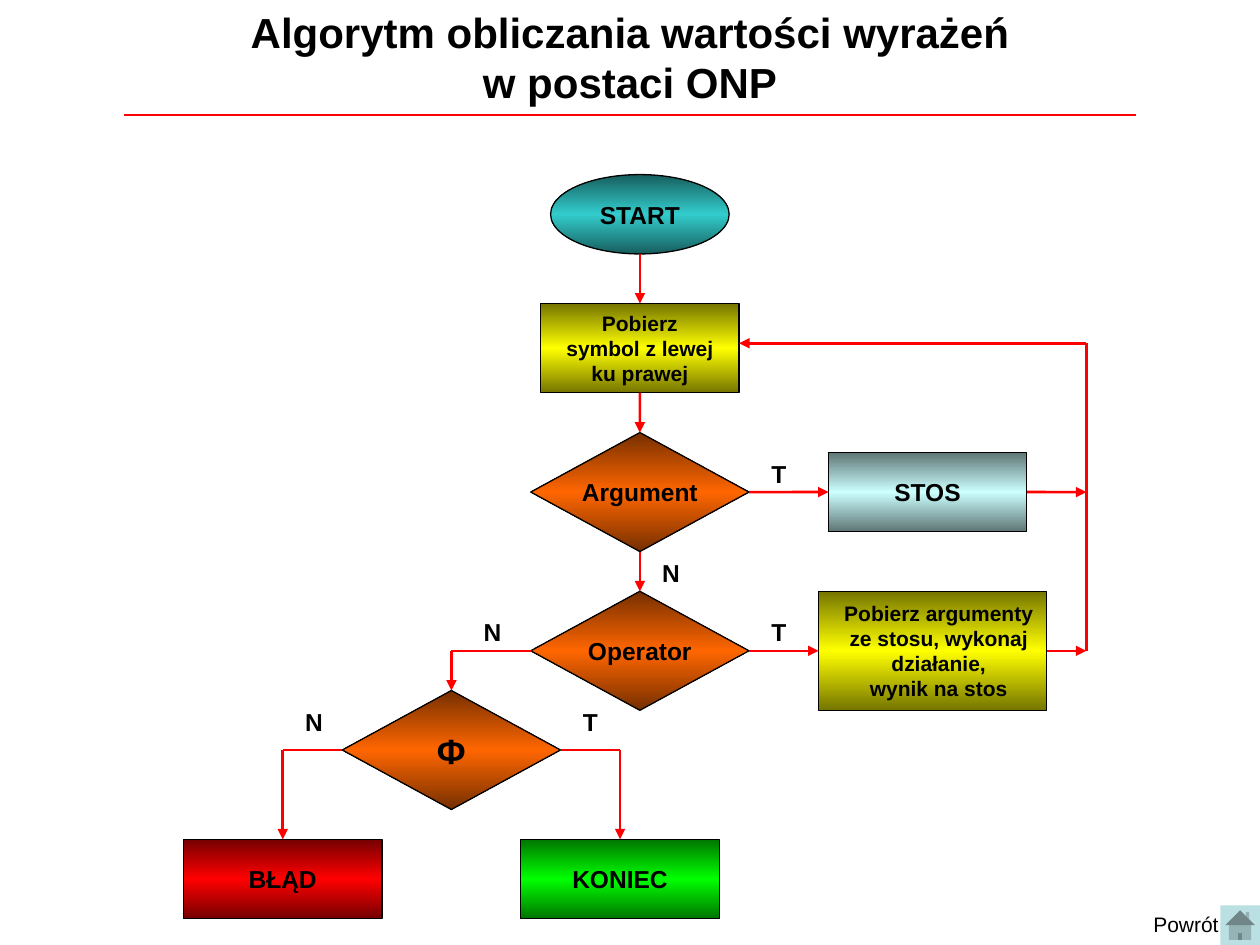
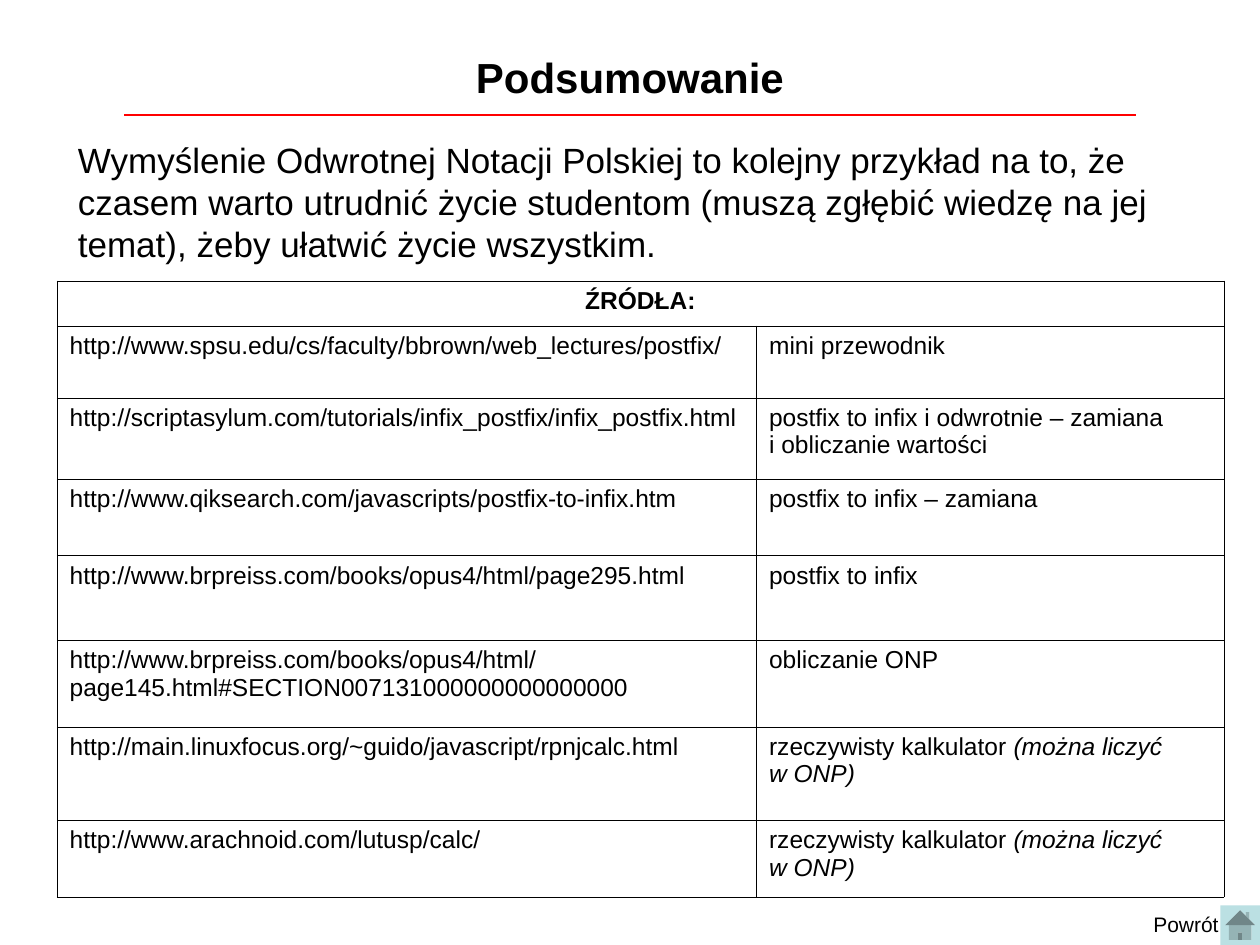
from typing import NamedTuple, Union

from lxml.etree import SubElement
from pptx import Presentation
from pptx.dml.color import RGBColor
from pptx.enum.shapes import MSO_CONNECTOR, MSO_SHAPE
from pptx.enum.text import MSO_ANCHOR, PP_ALIGN
from pptx.oxml.ns import qn
from pptx.util import Cm, Pt

FONT = "Arial"
COLOURS = {
    "ink": "000000",
    "arrow": "FF0000",
    "button": "BBE0E3",
}
# Edge and middle colour of each vertical gradient
GRADIENTS = {
    "teal": ("175E5E", "33CCCC"),
    "orange": ("752F00", "FF6600"),
    "yellow": ("757500", "FFFF00"),
    "pale": ("5E7575", "CCFFFF"),
    "red": ("750000", "FF0000"),
    "green": ("007500", "00FF00"),
}
TOP, LEFT, BOTTOM, RIGHT = range(4)


class Node(NamedTuple):
    """Flowchart block, placed by its centre; lengths in cm."""
    text: str
    shape: MSO_SHAPE
    gradient: str
    x: float
    y: float
    width: float = 4
    height: float = 1.6
    size: int = 14
    insets: tuple = (0, 0)


class Point(NamedTuple):
    x: float
    y: float


class Joint(NamedTuple):
    node: str
    side: int


class Link(NamedTuple):
    start: Union[Point, Joint]
    end: Union[Point, Joint]
    arrow: bool = True


class Label(NamedTuple):
    text: str
    x: float
    y: float


class Source(NamedTuple):
    address: str
    summary: str
    remark: str
    height: float


MAIN_X, RETURN_X, RETURN_Y = 12.9, 21.9, 6.92
ARGUMENT_Y, OPERATOR_Y, EMPTY_Y, END_Y = 9.92, 13.12, 15.12, 17.72
EMPTY_X, ERROR_X, FINISH_X = 9.1, 5.7, 12.5
DIAMOND = (4.4, 2.4)

NODES = {
    "start": Node("START", MSO_SHAPE.OVAL, "teal", MAIN_X, 4.32, 3.6),
    "fetch": Node("Pobierz symbol z lewej ku prawej", MSO_SHAPE.RECTANGLE,
                  "yellow", MAIN_X, 7.02, 4, 1.8, 12, (0.48, 0.48)),
    "argument": Node("Argument", MSO_SHAPE.DIAMOND, "orange",
                     MAIN_X, ARGUMENT_Y, *DIAMOND),
    "operator": Node("Operator", MSO_SHAPE.DIAMOND, "orange",
                     MAIN_X, OPERATOR_Y, *DIAMOND),
    "empty": Node("Φ", MSO_SHAPE.DIAMOND, "orange",
                  EMPTY_X, EMPTY_Y, *DIAMOND, size=20),
    "stack": Node("STOS", MSO_SHAPE.RECTANGLE, "pale", 18.7, ARGUMENT_Y),
    "compute": Node("Pobierz argumenty ze stosu, wykonaj działanie,\nwynik na stos",
                    MSO_SHAPE.RECTANGLE, "yellow",
                    18.8, OPERATOR_Y, 4.6, 2.4, 12, (0.43, 0.18)),
    "error": Node("BŁĄD", MSO_SHAPE.RECTANGLE, "red", ERROR_X, END_Y),
    "finish": Node("KONIEC", MSO_SHAPE.RECTANGLE, "green", FINISH_X, END_Y),
}

STACK_EXIT = Point(RETURN_X, ARGUMENT_Y)
COMPUTE_EXIT = Point(RETURN_X, OPERATOR_Y)
RETURN_CORNER = Point(RETURN_X, RETURN_Y)
EMPTY_CORNER = Point(EMPTY_X, OPERATOR_Y)
ERROR_CORNER = Point(ERROR_X, EMPTY_Y)
FINISH_CORNER = Point(FINISH_X, EMPTY_Y)

LINKS = [
    Link(Point(MAIN_X, 5.12), Joint("fetch", TOP)),
    Link(Joint("fetch", BOTTOM), Joint("argument", TOP)),
    Link(Joint("argument", BOTTOM), Joint("operator", TOP)),
    Link(Joint("argument", RIGHT), Joint("stack", LEFT)),
    Link(Joint("operator", RIGHT), Joint("compute", LEFT)),
    Link(Joint("stack", RIGHT), STACK_EXIT),
    Link(Joint("compute", RIGHT), COMPUTE_EXIT),
    Link(COMPUTE_EXIT, STACK_EXIT, False),
    Link(STACK_EXIT, RETURN_CORNER, False),
    Link(RETURN_CORNER, Point(14.9, RETURN_Y)),
    Link(Joint("operator", LEFT), EMPTY_CORNER, False),
    Link(EMPTY_CORNER, Joint("empty", TOP)),
    Link(Joint("empty", LEFT), ERROR_CORNER, False),
    Link(ERROR_CORNER, Joint("error", TOP)),
    Link(Joint("empty", RIGHT), FINISH_CORNER, False),
    Link(FINISH_CORNER, Joint("finish", TOP)),
]

LABELS = [
    Label("T", 15.3, 9.12),
    Label("N", 13.1, 11.12),
    Label("T", 15.3, 12.32),
    Label("N", 9.5, 12.32),
    Label("T", 11.5, 14.12),
    Label("N", 5.9, 14.12),
]

CALCULATOR = ("rzeczywisty kalkulator ", "(można liczyć\nw ONP)")
SOURCES = [
    Source("http://www.spsu.edu/cs/faculty/bbrown/web_lectures/postfix/",
           "mini przewodnik", "", 1.45),
    Source("http://scriptasylum.com/tutorials/infix_postfix/infix_postfix.html",
           "postfix to infix i odwrotnie – zamiana\ni obliczanie wartości", "", 1.63),
    Source("http://www.qiksearch.com/javascripts/postfix-to-infix.htm",
           "postfix to infix – zamiana", "", 1.55),
    Source("http://www.brpreiss.com/books/opus4/html/page295.html",
           "postfix to infix", "", 1.7),
    Source("http://www.brpreiss.com/books/opus4/html/page145.html#SECTION007131000000000000000",
           "obliczanie ONP", "", 1.75),
    Source("http://main.linuxfocus.org/~guido/javascript/rpnjcalc.html",
           *CALCULATOR, 1.88),
    Source("http://www.arachnoid.com/lutusp/calc/", *CALCULATOR, 1.55),
]


def colour(name: str) -> RGBColor:
    return RGBColor.from_string(COLOURS[name])


def write(para, text: str, size: int, bold: bool = False, italic: bool = False) -> None:
    """Add the text as runs, with a line break at each newline."""
    for number, line in enumerate(text.split("\n")):
        if number:
            para.add_line_break()
        span = para.add_run()
        span.text = line
        font = span.font
        font.name, font.size, font.bold, font.italic = FONT, Pt(size), bold, italic
        font.color.rgb = colour("ink")


def add_text(page, text: str, x: float, y: float, width: float, height: float,
             size: int, bold: bool = False, align=PP_ALIGN.CENTER) -> None:
    box = page.shapes.add_textbox(Cm(x), Cm(y), Cm(width), Cm(height))
    box.text_frame.word_wrap = True
    para = box.text_frame.paragraphs[0]
    para.alignment = align
    write(para, text, size, bold)


def add_line(page, start: Point, end: Point, width: float, arrow: bool = False):
    line = page.shapes.add_connector(
        MSO_CONNECTOR.STRAIGHT, Cm(start.x), Cm(start.y), Cm(end.x), Cm(end.y))
    line.line.color.rgb = colour("arrow")
    line.line.width = Pt(width)
    if arrow:
        SubElement(line.line._get_or_add_ln(), qn("a:tailEnd"), type="triangle")
    SubElement(line._element.spPr, qn("a:effectLst"))
    return line


def fill_gradient(shape, name: str) -> None:
    edge, middle = GRADIENTS[name]
    shape.fill.gradient()
    shape.fill.gradient_angle = 90
    stops = shape._element.spPr.find(qn("a:gradFill")).find(qn("a:gsLst"))
    stops.clear()
    for position, value in ((0, edge), (50000, middle), (100000, edge)):
        stop = SubElement(stops, qn("a:gs"), pos=str(position))
        SubElement(stop, qn("a:srgbClr"), val=value)


def add_node(page, node: Node):
    block = page.shapes.add_shape(
        node.shape, Cm(node.x - node.width / 2), Cm(node.y - node.height / 2),
        Cm(node.width), Cm(node.height))
    block.shadow.inherit = False
    fill_gradient(block, node.gradient)
    block.line.color.rgb = colour("ink")
    block.line.width = Pt(0.75)
    frame = block.text_frame
    frame.word_wrap = node.shape == MSO_SHAPE.RECTANGLE
    frame.vertical_anchor = MSO_ANCHOR.MIDDLE
    frame.margin_left, frame.margin_right = map(Cm, node.insets)
    frame.margin_top = frame.margin_bottom = 0
    para = frame.paragraphs[0]
    para.alignment = PP_ALIGN.CENTER
    write(para, node.text, node.size, bold=True)
    return block


def locate(place: Union[Point, Joint]) -> Point:
    if isinstance(place, Point):
        return place
    node = NODES[place.node]
    across, down = {TOP: (0, -1), LEFT: (-1, 0), BOTTOM: (0, 1), RIGHT: (1, 0)}[place.side]
    return Point(node.x + across * node.width / 2, node.y + down * node.height / 2)


def add_link(page, link: Link, blocks: dict) -> None:
    line = add_line(page, locate(link.start), locate(link.end), 1.5, link.arrow)
    if isinstance(link.start, Joint):
        line.begin_connect(blocks[link.start.node], link.start.side)
    if isinstance(link.end, Joint):
        line.end_connect(blocks[link.end.node], link.end.side)


def add_page(deck, title: str, title_top: float, title_height: float):
    """Start a slide with its title, red rule and return button."""
    page = deck.slides.add_slide(deck.slide_layouts[6])
    add_text(page, title, 0, title_top, 25.4, title_height, 24, bold=True)
    add_line(page, Point(2.5, 2.32), Point(22.9, 2.32), 0.75)
    button = page.shapes.add_shape(
        MSO_SHAPE.ACTION_BUTTON_HOME, Cm(24.6), Cm(18.25), Cm(0.8), Cm(0.8))
    button.shadow.inherit = False
    button.fill.solid()
    button.fill.fore_color.rgb = colour("button")
    button.line.fill.background()
    add_text(page, "Powrót", 23, 18.25, 2, 0.76, 12, align=PP_ALIGN.LEFT)
    return page


def style_cell(cell) -> None:
    cell.fill.background()
    properties = cell._tc.get_or_add_tcPr()
    for number, side in enumerate(("lnL", "lnR", "lnT", "lnB")):
        border = SubElement(properties, qn(f"a:{side}"), w=str(Pt(0.23)))
        fill = SubElement(border, qn("a:solidFill"))
        SubElement(fill, qn("a:srgbClr"), val=COLOURS["ink"])
        properties.insert(number, border)


def add_sources(page) -> None:
    heights = [0.91] + [source.height for source in SOURCES]
    widths = (14.1, 9.42)
    table = page.shapes.add_table(
        len(heights), len(widths), Cm(1.15), Cm(5.66),
        Cm(sum(widths)), Cm(sum(heights))).table
    table.first_row = table.horz_banding = False
    for column, width in zip(table.columns, widths):
        column.width = Cm(width)
    for row, height in zip(table.rows, heights):
        row.height = Cm(height)
    for cell in table.iter_cells():
        style_cell(cell)

    heading = table.cell(0, 0)
    heading.merge(table.cell(0, 1))
    para = heading.text_frame.paragraphs[0]
    para.alignment = PP_ALIGN.CENTER
    write(para, "ŹRÓDŁA:", 14, bold=True)
    for number, source in enumerate(SOURCES, start=1):
        address, summary = (cell.text_frame.paragraphs[0] for cell in table.rows[number].cells)
        write(address, source.address, 14)
        write(summary, source.summary, 14)
        if source.remark:
            write(summary, source.remark, 14, italic=True)


def add_algorithm_page(deck) -> None:
    page = add_page(deck, "Algorytm obliczania wartości wyrażeń\nw postaci ONP", 0, 2.29)
    blocks = {name: add_node(page, node) for name, node in NODES.items()}
    for link in LINKS:
        add_link(page, link, blocks)
    for label in LABELS:
        add_text(page, label.text, label.x, label.y, 0.8, 0.86, 14, bold=True)


def add_summary_page(deck) -> None:
    page = add_page(deck, "Podsumowanie", 0.91, 1.27)
    add_text(page, "Wymyślenie Odwrotnej Notacji Polskiej to kolejny przykład na to, że "
             "czasem warto utrudnić życie studentom (muszą zgłębić wiedzę na jej "
             "temat), żeby ułatwić życie wszystkim.",
             1.32, 2.67, 23.9, 2.8, 20, align=PP_ALIGN.LEFT)
    add_sources(page)


def main() -> None:
    deck = Presentation()
    deck.slide_width, deck.slide_height = Cm(25.4), Cm(19.05)
    add_algorithm_page(deck)
    add_summary_page(deck)
    deck.save("out.pptx")


if __name__ == "__main__":
    main()
